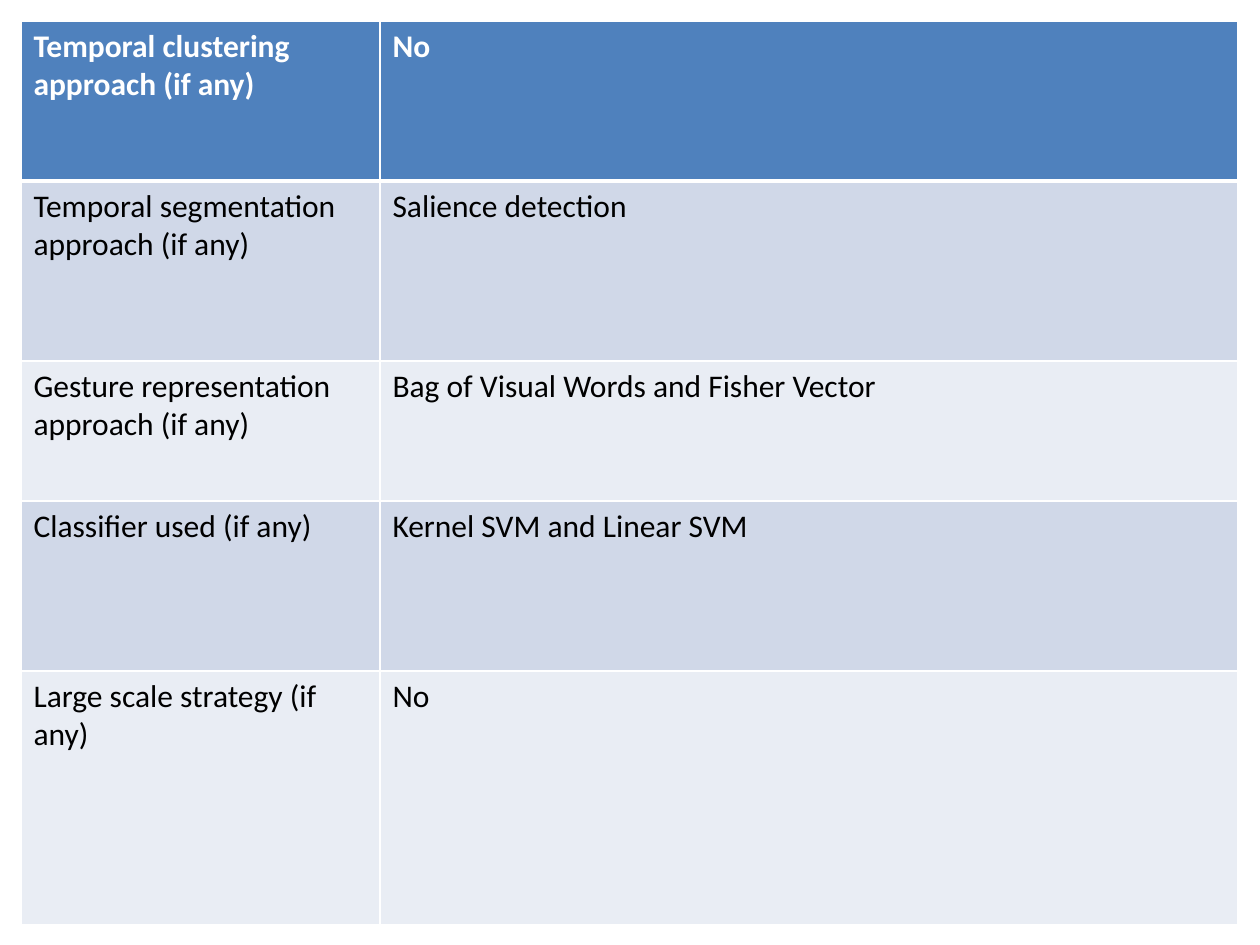
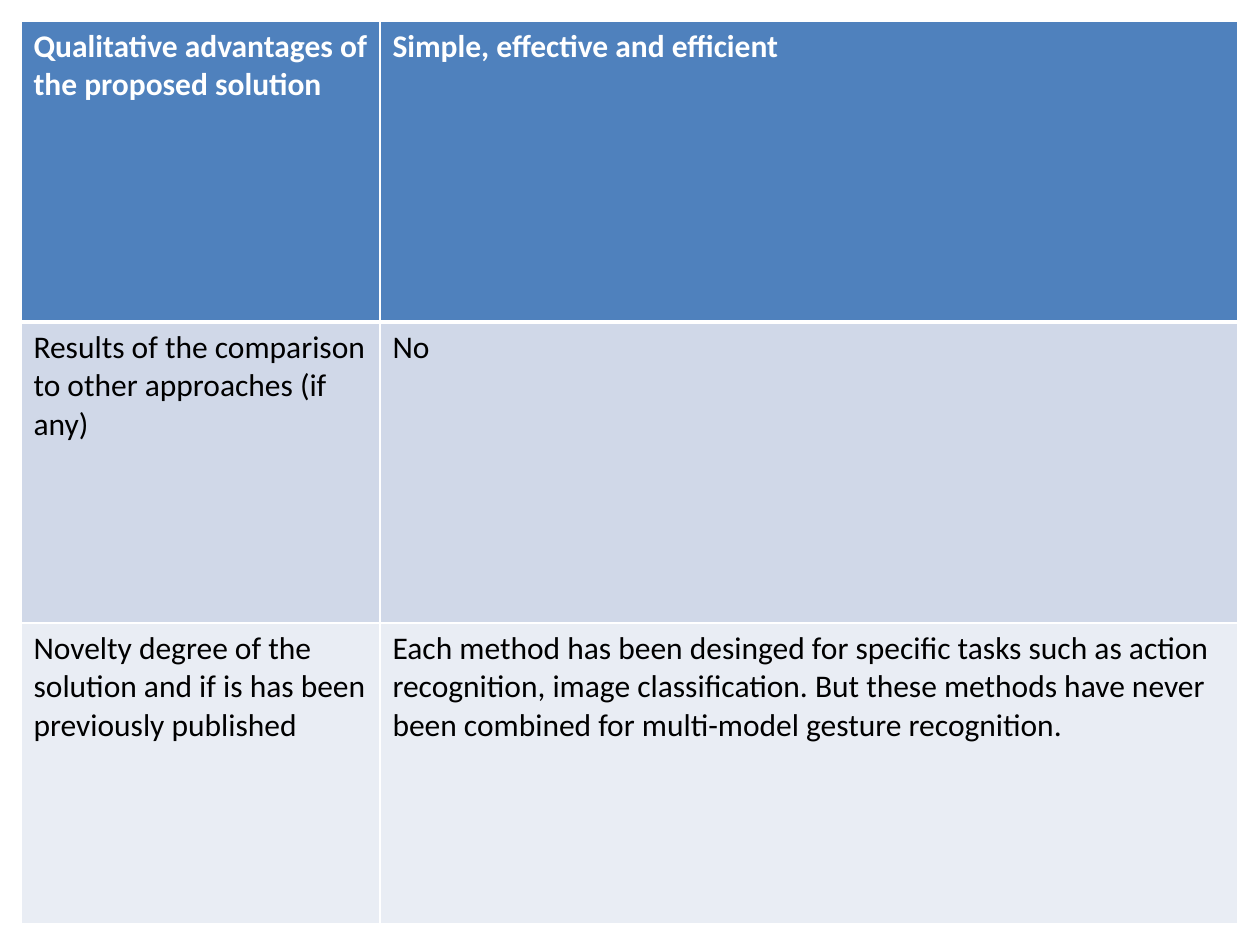
from dataclasses import dataclass

import pptx
import pptx.dml.color
import pptx.oxml
import pptx.oxml.ns
import pptx.util

PX = pptx.util.Inches(1) / 126
SLIDE_SIZE = 1260, 945
MARGIN = 21
COLUMN_WIDTHS = 359, 858


@dataclass(frozen=True)
class Theme:
    font: str = "Calibri"
    size: int = 18
    header_fill: str = "4F81BD"
    header_text: str = "FFFFFF"
    body_text: str = "000000"
    bands: tuple = ("D0D8E8", "E9EDF4")
    rule: str = "FFFFFF"
    rule_width: int = 1
    header_rule_width: int = 3


def px(n):
    return pptx.util.Emu(round(n * PX))


def rgb(color):
    return pptx.dml.color.RGBColor.from_string(color)


class Deck:
    def __init__(self, theme):
        self.theme = theme
        self.prs = pptx.Presentation()
        self.prs.slide_width, self.prs.slide_height = map(px, SLIDE_SIZE)
        self.s = None

    def slide(self):
        self.s = self.prs.slides.add_slide(self.prs.slide_layouts[6])

    def border(self, cell, side, width):
        """Draw one side (L, R, T or B) of a cell; call before setting its fill."""
        cell._tc.get_or_add_tcPr().append(pptx.oxml.parse_xml(
            f'<a:ln{side} {pptx.oxml.ns.nsdecls("a")} w="{pptx.util.Pt(width)}">'
            f'<a:solidFill><a:srgbClr val="{self.theme.rule}"/></a:solidFill>'
            f'</a:ln{side}>'))

    def cell(self, cell, text, row):
        t = self.theme
        header = row == 0
        header_edge = {0: "B", 1: "T"}.get(row)
        for side in "LRTB":
            self.border(cell, side, t.header_rule_width if side == header_edge else t.rule_width)
        cell.fill.solid()
        cell.fill.fore_color.rgb = rgb(t.header_fill if header else t.bands[(row - 1) % 2])
        cell.text = text
        font = cell.text_frame.paragraphs[0].font
        font.name, font.size, font.bold = t.font, pptx.util.Pt(t.size), header
        font.color.rgb = rgb(t.header_text if header else t.body_text)

    def table(self, rows, heights):
        table = self.s.shapes.add_table(
            len(rows), len(COLUMN_WIDTHS), px(MARGIN), px(MARGIN),
            px(sum(COLUMN_WIDTHS)), px(sum(heights))).table
        for column, width in zip(table.columns, COLUMN_WIDTHS):
            column.width = px(width)
        for i, (texts, height) in enumerate(zip(rows, heights)):
            table.rows[i].height = px(height)
            for j, text in enumerate(texts):
                self.cell(table.cell(i, j), text, i)


def main():
    deck = Deck(Theme())

    deck.slide()
    deck.table([
        ("Temporal clustering approach (if any)", "No"),
        ("Temporal segmentation approach (if any)", "Salience detection"),
        ("Gesture representation approach (if any)", "Bag of Visual Words and Fisher Vector"),
        ("Classifier used (if any)", "Kernel SVM and Linear SVM"),
        ("Large scale strategy (if any)", "No"),
    ], heights=(160, 180, 140, 170, 254))

    deck.slide()
    deck.table([
        ("Qualitative advantages of the proposed solution", "Simple, effective and efficient"),
        ("Results of the comparison to other approaches (if any)", "No"),
        ("Novelty degree of the solution and if is has been previously published",
         "Each method has been desinged for specific tasks such as action recognition, "
         "image classification. But these methods have never been combined for "
         "multi-model gesture recognition."),
    ], heights=(301,) * 3)

    deck.prs.save("out.pptx")


if __name__ == "__main__":
    main()
